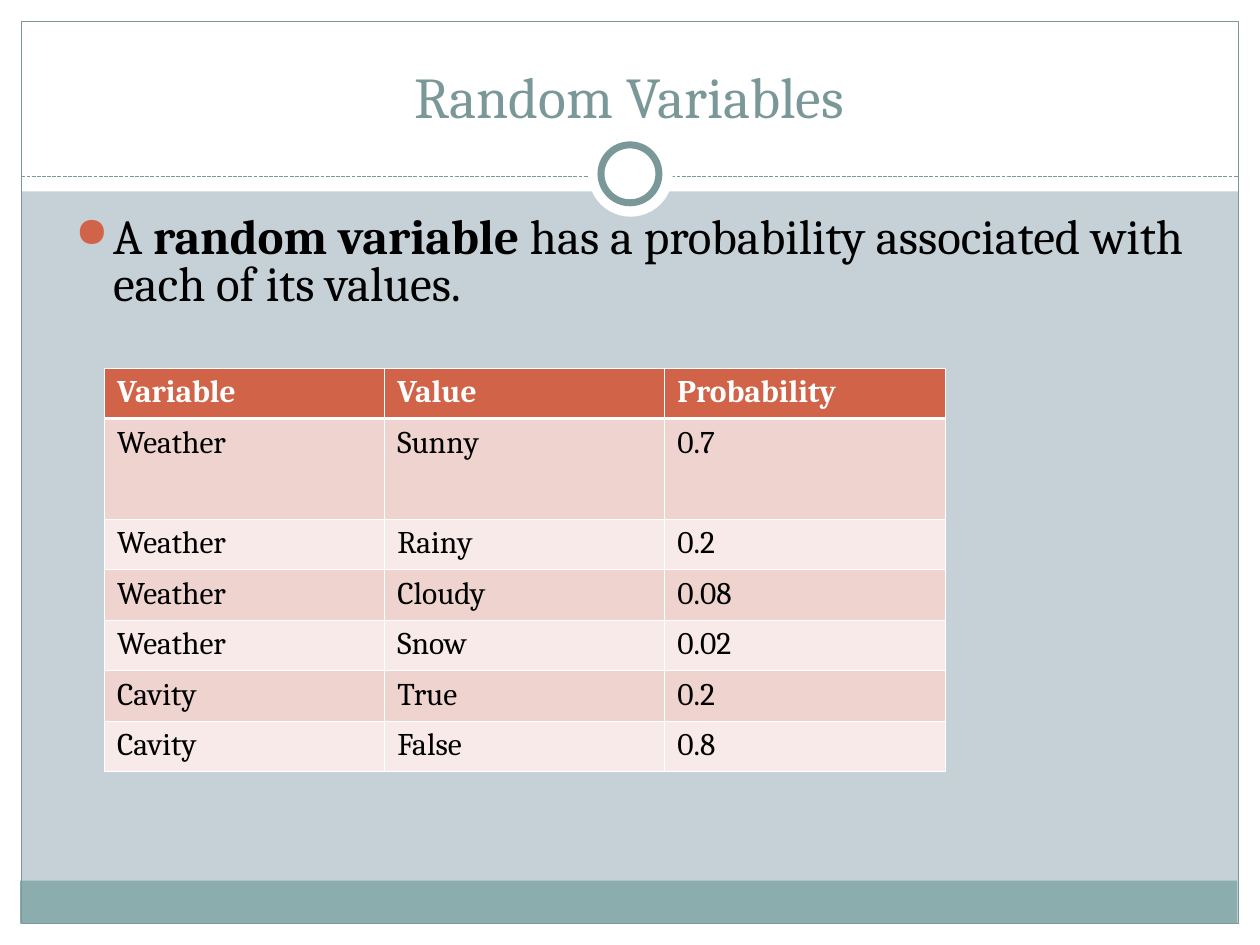
from lxml import etree
from pptx import Presentation
from pptx.dml.color import RGBColor
from pptx.enum import dml, shapes, text
from pptx.oxml import ns
from pptx.util import Inches, Pt

WHITE = RGBColor(0xFF, 0xFF, 0xFF)
BLACK = RGBColor(0, 0, 0)
MIST = RGBColor(0xC5, 0xD1, 0xD7)
TEAL = RGBColor(0x8C, 0xAD, 0xAE)
SLATE = RGBColor(0x7B, 0x98, 0x99)
RUST = RGBColor(0xD1, 0x63, 0x49)
ROSE = RGBColor(0xEE, 0xD3, 0xCF)
BLUSH = RGBColor(0xF7, 0xEA, 0xE9)
RECT = shapes.MSO_SHAPE.RECTANGLE
OVAL = shapes.MSO_SHAPE.OVAL


def add(root, tag, **attrs):
    return etree.SubElement(root, ns.qn(tag), attrs)


def style(font, size, color, bold=False):
    font.name, font.size, font.bold = "Cambria", Pt(size), bold
    font.color.rgb = color


deck = Presentation()
deck.slide_width, deck.slide_height = Inches(10), Inches(7.5)
slide = deck.slides.add_slide(deck.slide_layouts[6])
slide.background.fill.solid()
slide.background.fill.fore_color.rgb = MIST

# Dashed rule under the title
rule = slide.shapes.add_connector(
    shapes.MSO_CONNECTOR.STRAIGHT, Inches(0.17), Inches(1.4), Inches(9.83), Inches(1.4))
rule.line.color.rgb = SLATE
rule.line.width = Pt(0.75)
rule.line.dash_style = dml.MSO_LINE.SQUARE_DOT
add(rule._element.spPr, "a:effectLst")

# White margins, footer band, frame and ring: kind, box, fill, line width
parts = [
    (RECT, (0, 7.33, 10, 0.17), WHITE, 0),
    (RECT, (0, 0, 10, 1.52), WHITE, 0),
    (RECT, (0, 0, 0.17, 7.5), WHITE, 0),
    (RECT, (9.83, 0, 0.17, 7.5), WHITE, 0),
    (RECT, (0.16, 6.99, 9.66, 0.34), TEAL, 0),
    (RECT, (0.17, 0.17, 9.66, 7.16), None, 0.75),
    (OVAL, (4.67, 1.05, 0.67, 0.67), WHITE, 0),
    (OVAL, (4.77, 1.15, 0.46, 0.46), WHITE, 4),
]
for kind, box, fill, width in parts:
    if kind == OVAL:  # the rings sit on top of the rule
        slide.shapes._spTree.append(rule._element) if width == 0 else None
    part = slide.shapes.add_shape(kind, *map(Inches, box))
    part.shadow.inherit = False
    if fill is None:
        part.fill.background()
    else:
        part.fill.solid()
        part.fill.fore_color.rgb = fill
    if width:
        part.line.color.rgb = SLATE
        part.line.width = Pt(width)
    else:
        part.line.fill.background()

# Title
frame = slide.shapes.add_textbox(*map(Inches, (0.33, 0.25, 9.33, 0.83))).text_frame
frame.word_wrap = True
frame.vertical_anchor = text.MSO_ANCHOR.BOTTOM
para = frame.paragraphs[0]
para.text = "Random Variables"
para.alignment = text.PP_ALIGN.CENTER
style(para.font, 33, SLATE)

# Bulleted statement
frame = slide.shapes.add_textbox(*map(Inches, (0.5, 1.67, 9, 5.92))).text_frame
frame.word_wrap = True
para = frame.paragraphs[0]
para.line_spacing, para.space_before = 0.8, Pt(7)
props = para._p.get_or_add_pPr()
props.set("marL", str(Inches(0.3)))
props.set("indent", str(Inches(-0.3)))
add(add(props, "a:buClr"), "a:srgbClr", val=str(RUST))
add(props, "a:buSzPct", val="85000")
add(props, "a:buChar", char="●")
for words, bold in [("A ", False), ("random variable ", True),
                    ("has a probability associated with each of its values.", False)]:
    run = para.add_run()
    run.text = words
    style(run.font, 28, BLACK, bold)

# Probability table
rows = [
    ("Variable", "Value", "Probability"),
    ("Weather", "Sunny", "0.7"),
    ("Weather", "Rainy", "0.2"),
    ("Weather", "Cloudy", "0.08"),
    ("Weather", "Snow", "0.02"),
    ("Cavity", "True", "0.2"),
    ("Cavity", "False", "0.8"),
]
grid = slide.shapes.add_table(
    len(rows), 3, *map(Inches, (0.83, 2.92, 6.67, 3.2))).table
for col in grid.columns:
    col.width = Inches(6.67 / 3)
for i, row in enumerate(rows):
    grid.rows[i].height = Inches(0.8 if i == 1 else 0.4)
    for j, words in enumerate(row):
        cell = grid.cell(i, j)
        para = cell.text_frame.paragraphs[0]
        para.text = words
        style(para.font, 18, BLACK if i else WHITE, i == 0)
        for side in "LRTB":
            thick = (i, side) in [(0, "B"), (1, "T")]
            edge = add(cell._tc.get_or_add_tcPr(), "a:ln" + side,
                       w=str(Pt(1.47 if thick else 0.45)))
            add(add(edge, "a:solidFill"), "a:srgbClr", val=str(WHITE))
        cell.fill.solid()
        cell.fill.fore_color.rgb = RUST if i == 0 else ROSE if i % 2 else BLUSH

deck.save("out.pptx")
